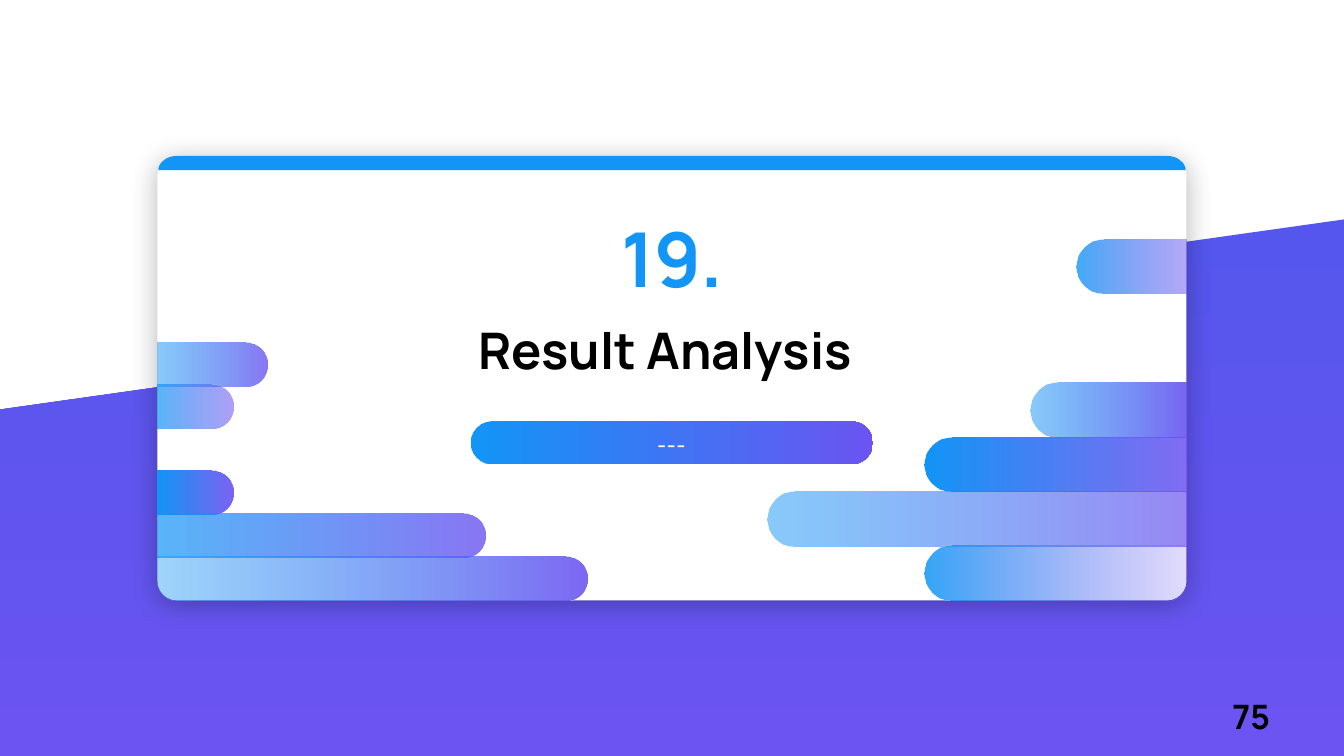
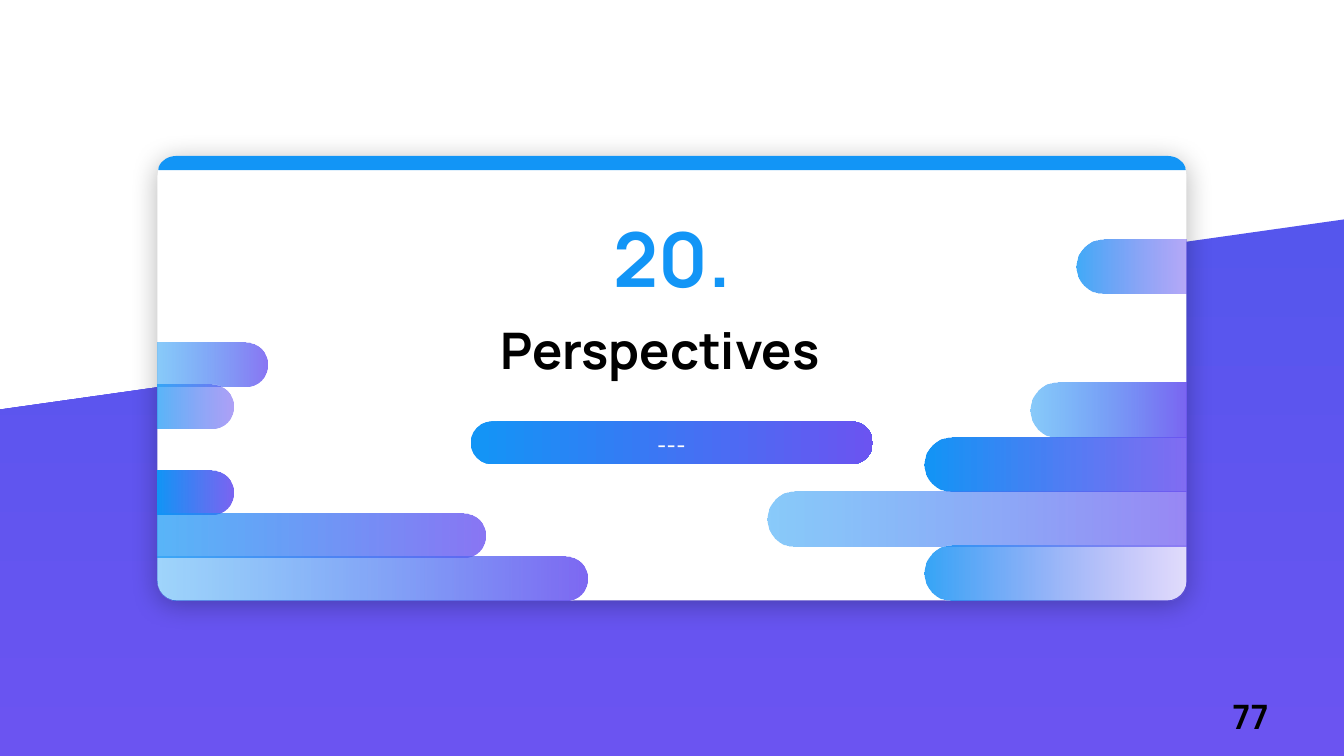
from lxml import etree
from pptx import Presentation
from pptx.dml.color import RGBColor
from pptx.enum.shapes import MSO_SHAPE as Preset
from pptx.enum.text import MSO_ANCHOR as Anchor, MSO_AUTO_SIZE as AutoSize, PP_ALIGN as Align
from pptx.oxml.ns import qn
from pptx.util import Cm, Pt

# Content: section number, title, page number
SECTIONS = [
    ("19.", "Result Analysis", "75"),
    ("20.", "Perspectives ", "77"),
]
PILL_TEXT = "---"

# Colours and text styles
BLUE, VIOLET, INDIGO = "1295F6", "6B54F1", "5556ED"
WHITE, BLACK = "FFFFFF", "000000"
TITLE = {"name": "Manrope", "size": Pt(36), "bold": True, "color": BLACK}
NUMBER = TITLE | {"size": Pt(54), "color": BLUE}
PAGE = TITLE | {"size": Pt(24)}
PILL = {"name": "League Spartan", "size": Pt(18), "bold": False, "color": WHITE}

# Geometry in centimetres: left, top, width, height
WIDTH, HEIGHT = 33.87, 19.05
CARD = (3.97, 3.93, 25.93, 11.2)
CARD_RADIUS, STRIP_HEIGHT = 0.49, 0.36
CARD_RIGHT, CARD_BOTTOM = CARD[0] + CARD[2], CARD[1] + CARD[3]
SLOPE_LEFT, SLOPE_RIGHT = 10.32, 5.53
TITLE_BOX = (-1.02, 7.92, 34.29, 1.8)
NUMBER_BOX = (9.68, 5.22, 14.53, 2.57)
PAGE_BOX = (30.81, 17.42, 2.46, 1.27)
PILL_BOX = (11.86, 10.62, 10.14, 1.08)
PILL_TEXT_BOX = (11.96, 10.64, 9.93, 1.02)
ROUNDNESS = 0.55  # pull of a curve's control points towards its corner

# Bars stacked up from the card's bottom: row, length, start and end opacity in %
BAR_GROUPS = [
    {"side": "left", "height": 1.11, "pitch": 1.08, "bars": [
        (5, 2.77, 50, 80), (4, 1.92, 70, 55), (2, 1.92, 100, 90),
        (1, 8.27, 70, 80), (0, 10.84, 40, 88)]},
    {"side": "right", "height": 1.37, "pitch": 1.37, "bars": [
        (3, 3.93, 50, 90), (2, 6.6, 100, 85), (1, 10.55, 50, 70),
        (0, 6.6, 85, 20), (5.64, 2.77, 80, 50)]},
]


def color(value):
    return RGBColor.from_string(value)


def lengths(values):
    return [Cm(value) for value in values]


def fill_solid(shape, value):
    shape.fill.solid()
    shape.fill.fore_color.rgb = color(value)
    shape.line.fill.background()


def fill_gradient(shape, start, end, angle=0, opacities=(100, 100)):
    shape.shadow.inherit = False
    shape.line.fill.background()
    shape.fill.gradient()
    shape.fill.gradient_angle = angle
    for stop, value in zip(shape.fill.gradient_stops, (start, end)):
        stop.color.rgb = color(value)
    stops = shape.element.spPr.iter(qn("a:srgbClr"))
    for element, opacity in zip(list(stops), opacities):
        if opacity < 100:
            etree.SubElement(element, qn("a:alpha"), val=str(opacity * 1000))


def add_card_shadow(shape):
    shape.shadow.inherit = False
    effects = shape.element.spPr.find(qn("a:effectLst"))
    shadow = etree.SubElement(effects, qn("a:outerShdw"), blurRad=str(Pt(19)),
                              dist=str(Pt(3)), dir="5400000", algn="t", rotWithShape="0")
    tint = etree.SubElement(shadow, qn("a:srgbClr"), val=BLACK)
    etree.SubElement(tint, qn("a:alpha"), val="28000")


def rounded_outline(left, top, width, height, radii):
    """Steps round a rectangle; radii run clockwise from the top left corner."""
    right, bottom = left + width, top + height
    corners = [(left, top, (0, 1), (1, 0)), (right, top, (-1, 0), (0, 1)),
               (right, bottom, (0, -1), (-1, 0)), (left, bottom, (1, 0), (0, -1))]
    steps = []
    for (x, y, before, after), radius in zip(corners, radii):
        def point(direction, distance):
            return (x + direction[0] * distance, y + direction[1] * distance)

        start = point(before, radius)
        if not steps or lengths(steps[-1][-1]) != lengths(start):
            steps.append([start])
        if radius:
            near = radius * (1 - ROUNDNESS)
            steps.append([point(before, near), point(after, near), point(after, radius)])
    return steps


def add_outline(shapes, steps):
    """Each step is [end] for a line or [control, control, end] for a curve."""
    builder = shapes.build_freeform(*lengths(steps[0][-1]))
    builder.add_line_segments([lengths(step[-1]) for step in steps[1:]], close=True)
    shape = builder.convert_to_shape()
    shape.shadow.inherit = False
    segments = list(shape.element.spPr.iter(qn("a:lnTo")))
    for segment, step in zip(segments, steps[1:]):
        if len(step) == 3:
            segment.tag = qn("a:cubicBezTo")
            for index, (x, y) in enumerate(step[:2]):
                control = etree.Element(qn("a:pt"), x=str(Cm(x) - shape.left),
                                        y=str(Cm(y) - shape.top))
                segment.insert(index, control)
    return shape


def write(shape, text, style, align=Align.CENTER):
    frame = shape.text_frame
    settings = {"word_wrap": True, "auto_size": AutoSize.SHAPE_TO_FIT_TEXT,
                "vertical_anchor": Anchor.TOP}
    for name, value in settings.items():
        setattr(frame, name, value)
    paragraph = frame.paragraphs[0]
    paragraph.alignment = align
    run = paragraph.add_run()
    run.text = text
    for name, value in style.items():
        if name == "color":
            run.font.color.rgb = color(value)
        else:
            setattr(run.font, name, value)


def add_backdrop(shapes):
    corners = [(WIDTH, SLOPE_RIGHT), (WIDTH, HEIGHT), (0, HEIGHT), (0, SLOPE_LEFT)]
    slope = add_outline(shapes, [[corner] for corner in corners])
    fill_gradient(slope, INDIGO, VIOLET, angle=270)

    card = shapes.add_shape(Preset.ROUNDED_RECTANGLE, *lengths(CARD))
    card.adjustments[0] = CARD_RADIUS / CARD[3]
    fill_solid(card, WHITE)
    add_card_shadow(card)

    # The strip follows the card's top corners, cut off before they end
    curve = [(CARD_RADIUS, 0), (0.28, 0), (0.1, 0.1), (0.03, 0.28)]
    top = CARD[1]
    left_curve = [(CARD[0] + x, top + y) for x, y in curve]
    right_curve = [(CARD_RIGHT - x, top + y) for x, y in curve]
    base = top + STRIP_HEIGHT
    strip = add_outline(shapes, [
        [left_curve[0]], [right_curve[0]], right_curve[1:],
        [(CARD_RIGHT - 0.02, base)], [(CARD[0] + 0.02, base)],
        [left_curve[3]], left_curve[2::-1]])
    fill_solid(strip, BLUE)


def add_bars(shapes, side, height, pitch, bars):
    group = shapes.add_group_shape()
    for row, length, *opacities in bars:
        top = CARD_BOTTOM - height - row * pitch
        cap, corner = height / 2, 0 if row else CARD_RADIUS
        if side == "left":
            left, radii = CARD[0], (0, cap, cap, corner)
        else:
            left, radii = CARD_RIGHT - length, (cap, 0, corner, cap)
        bar = add_outline(group.shapes, rounded_outline(left, top, length, height, radii))
        fill_gradient(bar, BLUE, VIOLET, opacities=opacities)


def add_pill(shapes):
    group = shapes.add_group_shape()
    pill = group.shapes.add_shape(Preset.ROUNDED_RECTANGLE, *lengths(PILL_BOX))
    pill.adjustments[0] = 0.5
    fill_gradient(pill, BLUE, VIOLET)
    write(group.shapes.add_textbox(*lengths(PILL_TEXT_BOX)), PILL_TEXT, PILL)


def add_section(presentation, number, title_text, page):
    slide = presentation.slides.add_slide(presentation.slide_layouts[5])
    shapes = slide.shapes
    add_backdrop(shapes)

    # Title, brought in front of the card
    title = shapes.title
    title.left, title.top, title.width, title.height = lengths(TITLE_BOX)
    write(title, title_text, TITLE)
    title.text_frame.margin_left = Cm(1.52)
    title.element.getparent().append(title.element)

    for group in BAR_GROUPS:
        add_bars(shapes, **group)
    add_pill(shapes)
    write(shapes.add_textbox(*lengths(NUMBER_BOX)), number, NUMBER)
    write(shapes.add_textbox(*lengths(PAGE_BOX)), page, PAGE, align=Align.LEFT)


def main():
    presentation = Presentation()
    presentation.slide_width, presentation.slide_height = lengths((WIDTH, HEIGHT))
    for section in SECTIONS:
        add_section(presentation, *section)
    presentation.save("out.pptx")


if __name__ == "__main__":
    main()
